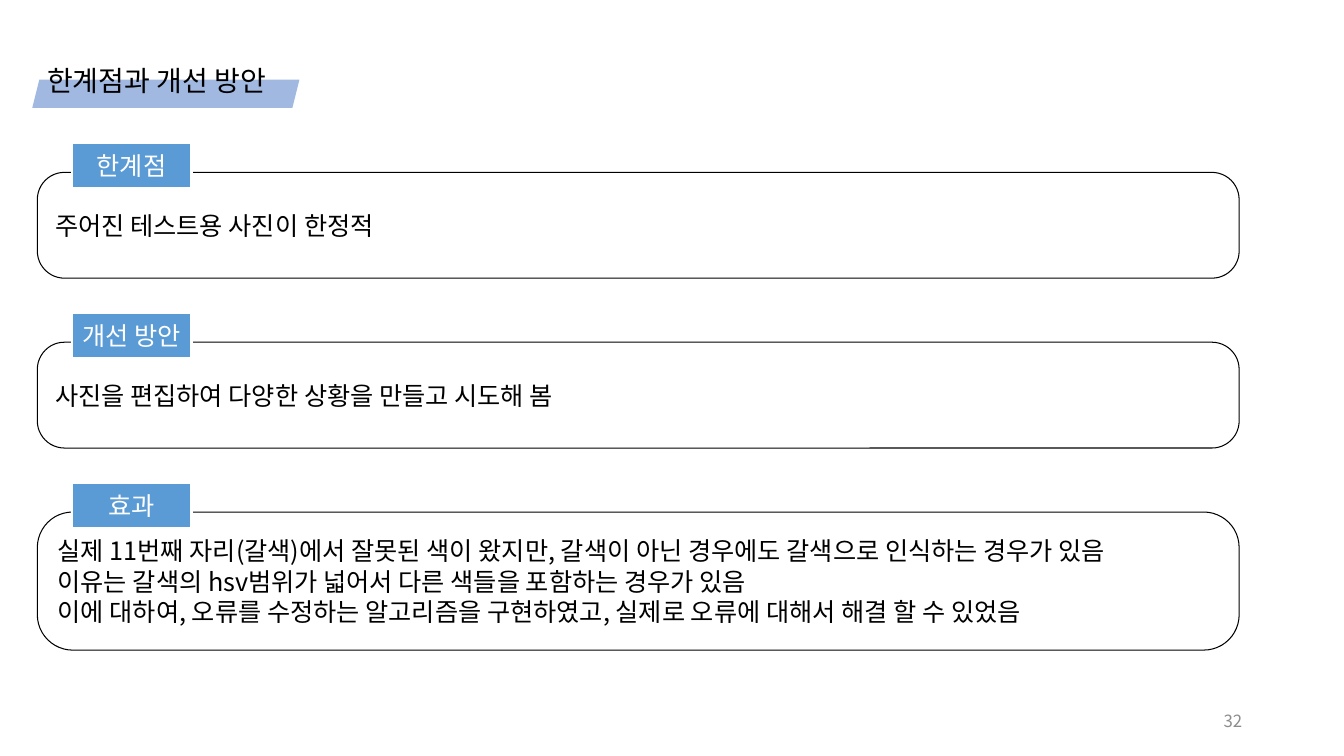
from lxml import etree
from pptx import Presentation
from pptx.dml.color import RGBColor
from pptx.enum.shapes import MSO_SHAPE
from pptx.enum.text import MSO_ANCHOR, PP_ALIGN
from pptx.oxml.ns import qn
from pptx.util import Inches, Pt

RECT = MSO_SHAPE.RECTANGLE
ROUND = MSO_SHAPE.ROUNDED_RECTANGLE
SLANT = MSO_SHAPE.PARALLELOGRAM
TOP, MIDDLE = MSO_ANCHOR.TOP, MSO_ANCHOR.MIDDLE
LEFT, CENTER, RIGHT = PP_ALIGN.LEFT, PP_ALIGN.CENTER, PP_ALIGN.RIGHT

FONT = "Noto Sans CJK KR"
COLORS = {
    "text": "000000",
    "label": "5B9BD5",
    "white": "FFFFFF",
    "accent": "4472C4",
    "number": "8C8C8C",
}
SECTIONS = [
    ("한계점", 1.05, "주어진 테스트용 사진이 한정적"),
    ("개선 방안", 1.05, "사진을 편집하여 다양한 상황을 만들고 시도해 봄"),
    ("효과", 1.37,
     "실제 11번째 자리(갈색)에서 잘못된 색이 왔지만, 갈색이 아닌 경우에도 갈색으로 인식하는 경우가 있음\n"
     "이유는 갈색의 hsv범위가 넓어서 다른 색들을 포함하는 경우가 있음\n"
     "이에 대하여, 오류를 수정하는 알고리즘을 구현하였고, 실제로 오류에 대해서 해결 할 수 있었음"),
]


def rgb(name):
    return RGBColor.from_string(COLORS[name])


def write(shape, text, size, color, align=LEFT, anchor=MIDDLE):
    tf = shape.text_frame
    tf.word_wrap = True
    tf.vertical_anchor = anchor
    tf.text = text
    for p in tf.paragraphs:
        p.alignment = align
        for r in p.runs:
            r.font.size = Pt(size)
            r.font.name = FONT
            r.font.color.rgb = rgb(color)
            ea = etree.SubElement(r.font._element, qn("a:ea"))
            ea.set("typeface", FONT)
    return tf


prs = Presentation()
prs.slide_width = Inches(13.33)
prs.slide_height = Inches(7.5)
s = prs.slides.add_slide(prs.slide_layouts[6])

number = s.shapes.add_textbox(Inches(9.42), Inches(6.95), Inches(3), Inches(0.4))
write(number, "32", 12, "number", RIGHT)

underline = s.shapes.add_shape(SLANT, Inches(0.32), Inches(0.79), Inches(2.65), Inches(0.28))
underline.shadow.inherit = False
underline.fill.solid()
underline.fill.fore_color.rgb = rgb("accent")
color = underline.fill._xPr.find(".//" + qn("a:srgbClr"))
etree.SubElement(color, qn("a:alpha")).set("val", "50000")
underline.line.fill.background()

title = s.shapes.add_textbox(Inches(0.37), Inches(0.62), Inches(6.4), Inches(1.13))
tf = write(title, "한계점과 개선 방안", 20, "text", anchor=TOP)
tf.paragraphs[0].line_spacing = 0.9

for i, (heading, height, body) in enumerate(SECTIONS):
    top = 1.71 + 1.685 * i

    box = s.shapes.add_shape(ROUND, Inches(0.37), Inches(top), Inches(11.92), Inches(height))
    box.adjustments[0] = 0.257
    box.shadow.inherit = False
    box.fill.background()
    box.line.color.rgb = rgb("text")
    box.line.width = Pt(0.75)
    write(box, body, 18, "text")

    label = s.shapes.add_shape(RECT, Inches(0.71), Inches(top - 0.29), Inches(1.19), Inches(0.45))
    label.shadow.inherit = False
    label.fill.solid()
    label.fill.fore_color.rgb = rgb("label")
    label.line.color.rgb = rgb("white")
    label.line.width = Pt(1.5)
    tf = write(label, heading, 18, "white", CENTER)
    tf.margin_left = tf.margin_right = Inches(0.05)

prs.save("out.pptx")
